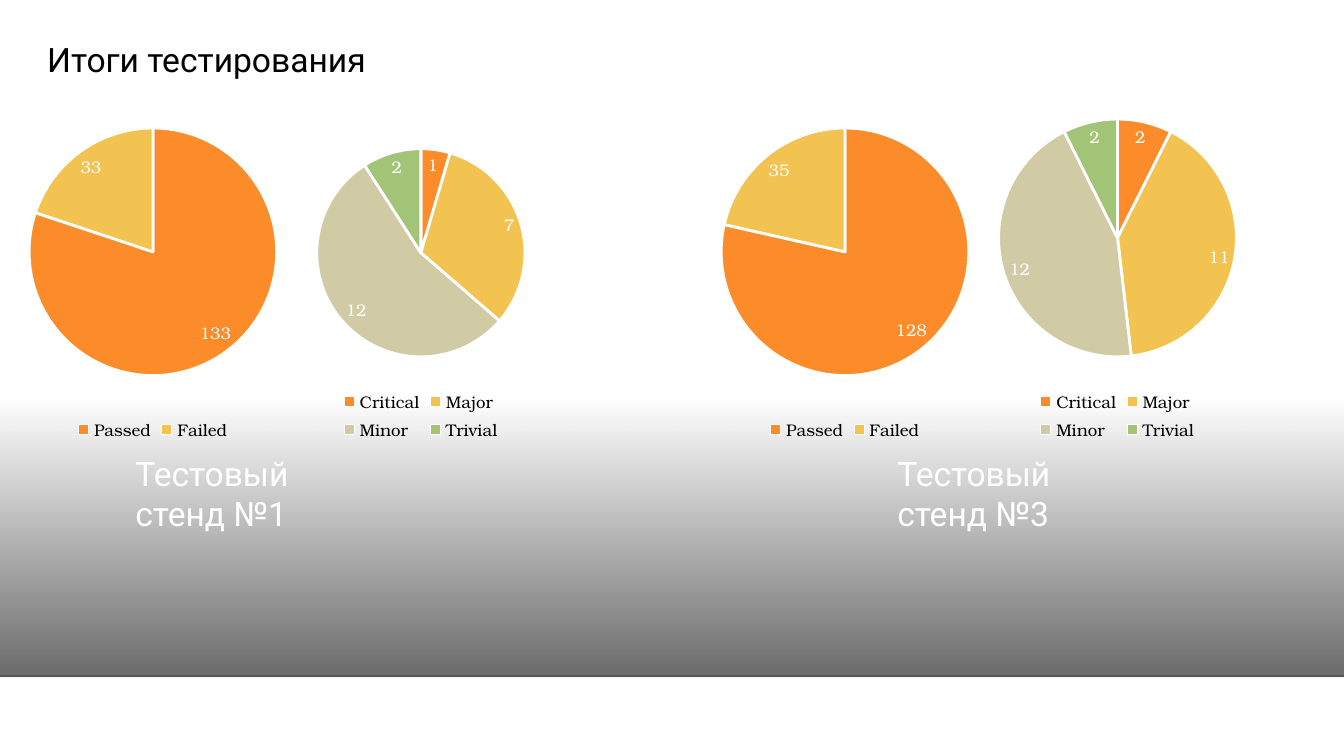
from lxml import etree
from pptx import Presentation
from pptx.chart.data import CategoryChartData
from pptx.dml.color import RGBColor
from pptx.enum.chart import XL_CHART_TYPE, XL_LABEL_POSITION, XL_LEGEND_POSITION
from pptx.enum.shapes import MSO_CONNECTOR, MSO_SHAPE
from pptx.enum.text import MSO_ANCHOR, PP_ALIGN
from pptx.oxml.ns import qn
from pptx.util import Cm, Pt

PIE = XL_CHART_TYPE.PIE
BEST_FIT = XL_LABEL_POSITION.BEST_FIT
LEGEND_BOTTOM = XL_LEGEND_POSITION.BOTTOM
STRAIGHT = MSO_CONNECTOR.STRAIGHT
RECTANGLE = MSO_SHAPE.RECTANGLE
MIDDLE, TOP = MSO_ANCHOR.MIDDLE, MSO_ANCHOR.TOP
LEFT = PP_ALIGN.LEFT

TITLE_ONLY = 5
SLIDE_WIDTH, SLIDE_HEIGHT = 25.4, 14.29
FLOOR = 12.78
CHART_TOP, CHART_HEIGHT = 1.9, 6.53

# Each stand: number, results pie (left, width, values), severity pie, caption left
STANDS = [
    (1, (0.2, 5.38, (133, 33)), (4.78, 6.35, (1, 7, 12, 2)), 2.31),
    (3, (13.28, 5.38, (128, 35)), (18.11, 6.02, (2, 11, 12, 2)), 16.71),
]
RESULTS = ("Passed", "Failed")
SEVERITIES = ("Critical", "Major", "Minor", "Trivial")


def rgb(code):
    return RGBColor.from_string(code)


def apply(target, values):
    for name, value in values.items():
        setattr(target, name, value)


def set_opacity(fill_element, percent):
    """Add an alpha value to every colour inside the element."""
    for color in fill_element.iter(qn("a:srgbClr")):
        alpha = etree.SubElement(color, qn("a:alpha"))
        alpha.set("val", str(percent * 1000))


class SlideBuilder:
    heading = {"name": "Roboto", "size": Pt(18), "bold": False}
    chart_text = {"name": "TeX Gyre Bonum", "size": Pt(10), "bold": False}
    small_text = {**chart_text, "size": Pt(9)}
    black, white, shade, rule = "000000", "FFFFFF", "454545", "000001"
    slices = ("FB8C29", "F2C351", "D0CBA5", "A2C476")

    def __init__(self, slide):
        self.slide = slide
        slide.background.fill.solid()
        slide.background.fill.fore_color.rgb = rgb(self.white)

    def style_font(self, font, values, color):
        apply(font, values)
        font.color.rgb = rgb(color)

    def set_text(self, frame, text, color, frame_values):
        apply(frame, {"word_wrap": True, **frame_values})
        paragraph = frame.paragraphs[0]
        paragraph.alignment = LEFT
        run = paragraph.add_run()
        run.text = text
        self.style_font(run.font, self.heading, color)

    def title(self, text, left, top, width, height):
        title = self.slide.shapes.title
        apply(title, {"left": Cm(left), "top": Cm(top),
                      "width": Cm(width), "height": Cm(height)})
        self.set_text(title.text_frame, text, self.black, {
            "margin_left": 0, "margin_right": 0, "margin_bottom": 0,
            "margin_top": Cm(0.03), "vertical_anchor": MIDDLE})

    def caption(self, text, left, top, width, height):
        box = self.slide.shapes.add_textbox(Cm(left), Cm(top), Cm(width), Cm(height))
        self.set_text(box.text_frame, text, self.white, {"vertical_anchor": TOP})

    def fading_band(self, top, bottom):
        band = self.slide.shapes.add_shape(
            RECTANGLE, 0, Cm(top), Cm(SLIDE_WIDTH), Cm(bottom - top))
        band.shadow.inherit = False
        band.line.fill.background()
        band.fill.gradient()
        band.fill.gradient_angle = 270
        stops = band.fill.gradient_stops
        gradient = band._element.spPr.find(qn("a:gradFill"))
        stop_elements = gradient.find(qn("a:gsLst"))
        for stop, element, position, opacity in zip(stops, stop_elements, (0, 1), (0, 80)):
            stop.position = position
            stop.color.rgb = rgb(self.shade)
            set_opacity(element, opacity)

    def floor_line(self, y):
        line = self.slide.shapes.add_connector(STRAIGHT, 0, Cm(y), Cm(SLIDE_WIDTH), Cm(y))
        line.line.width = Pt(1)
        line.line.color.rgb = rgb(self.rule)
        properties = line._element.spPr
        set_opacity(properties, 20)
        etree.SubElement(properties, qn("a:effectLst"))

    def pie(self, categories, values, left, width):
        data = CategoryChartData()
        data.categories = categories
        data.add_series("Series 1", values)
        chart = self.slide.shapes.add_chart(
            PIE, Cm(left), Cm(CHART_TOP), Cm(width), Cm(CHART_HEIGHT), data).chart
        apply(chart, {"has_title": False, "has_legend": True})
        self.style_font(chart.font, self.chart_text, self.white)
        apply(chart.legend, {"position": LEGEND_BOTTOM, "include_in_layout": False})
        self.style_font(chart.legend.font, self.small_text, self.black)

        plot = chart.plots[0]
        apply(plot, {"vary_by_categories": True, "has_data_labels": True})
        apply(plot.data_labels, {"show_value": True, "show_percentage": False,
                                 "position": BEST_FIT})
        self.style_font(plot.data_labels.font, self.small_text, self.white)
        for index, color in enumerate(self.slices[:len(values)]):
            part = plot.series[0].points[index].format
            part.fill.solid()
            part.fill.fore_color.rgb = rgb(color)
            part.line.width = Pt(1.5)
            part.line.color.rgb = rgb(self.white)


def main():
    presentation = Presentation()
    apply(presentation, {"slide_width": Cm(SLIDE_WIDTH), "slide_height": Cm(SLIDE_HEIGHT)})
    builder = SlideBuilder(presentation.slides.add_slide(
        presentation.slide_layouts[TITLE_ONLY]))

    # Backdrop
    builder.fading_band(7.54, FLOOR)
    builder.floor_line(FLOOR)

    # Title
    builder.title("Итоги тестирования", 0.89, 0.71, 22.4, 0.79)

    # Test results and defect severities of each stand
    for number, results, severities, caption_left in STANDS:
        for categories, (left, width, values) in ((RESULTS, results),
                                                  (SEVERITIES, severities)):
            builder.pie(categories, values, left, width)
        builder.caption(f"Тестовый стенд №{number}", caption_left, 8.43, 5.16, 0.86)

    presentation.save("out.pptx")


if __name__ == "__main__":
    main()
